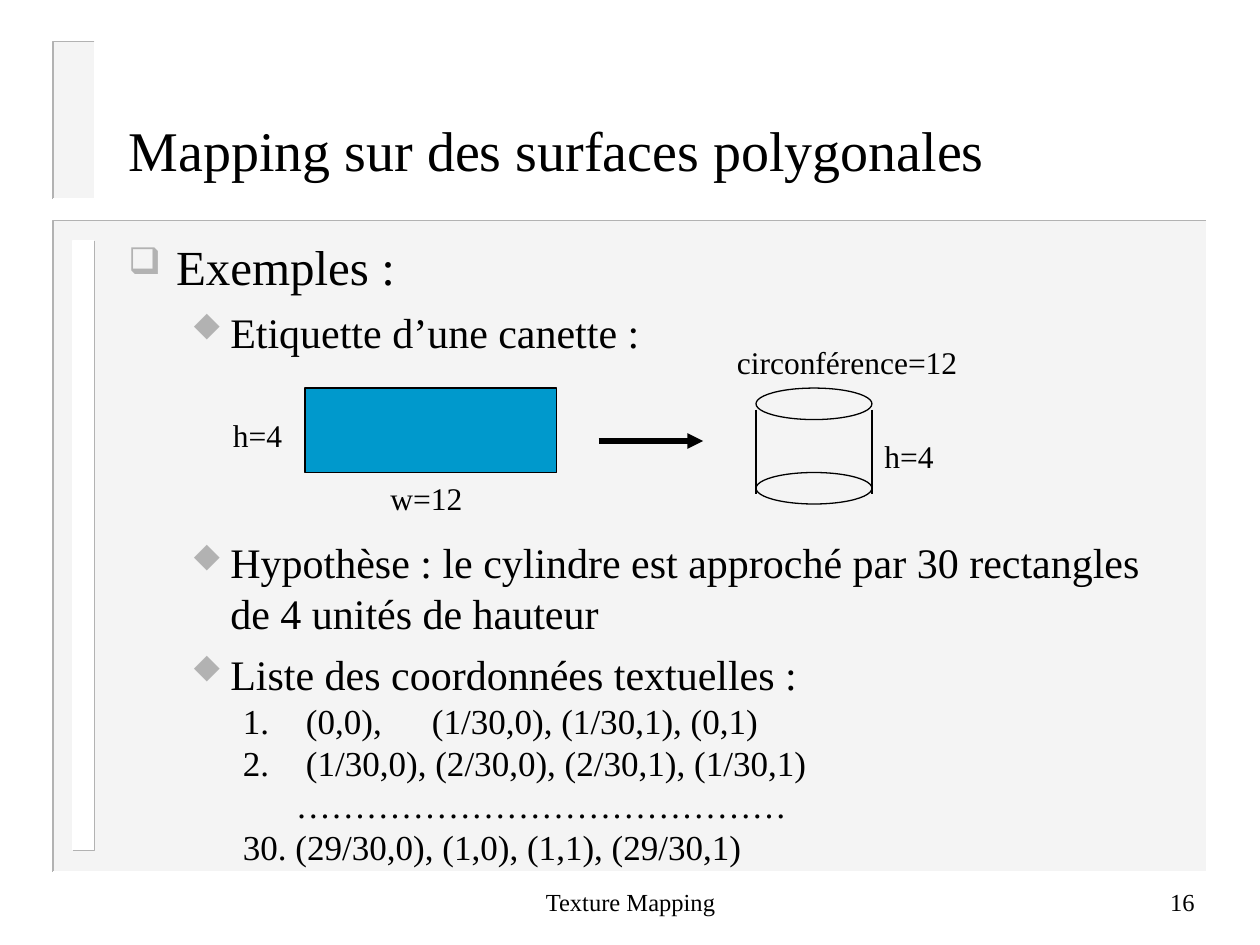
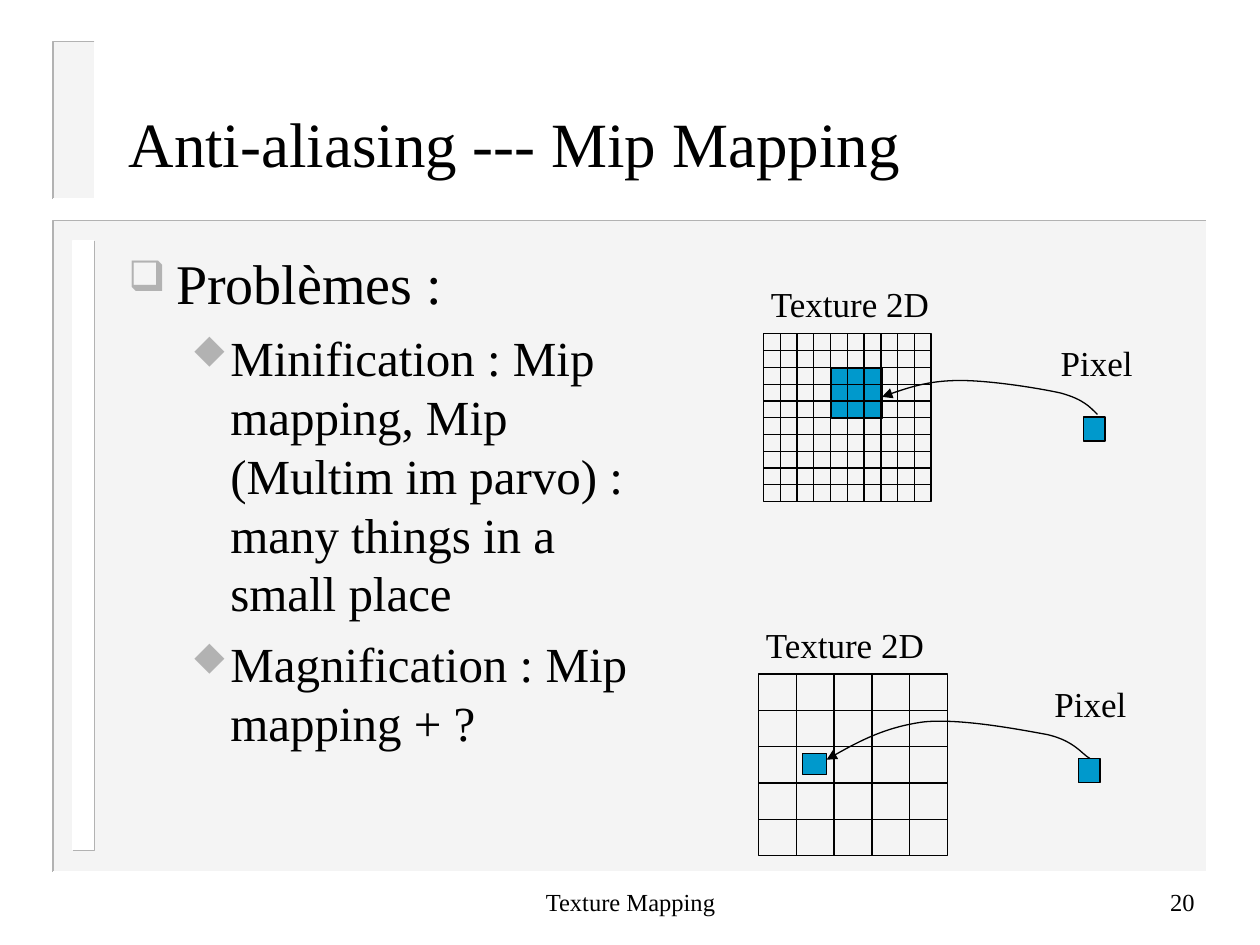
from lxml.etree import SubElement
from pptx import Presentation
from pptx.dml.color import RGBColor
from pptx.enum.shapes import MSO_CONNECTOR, MSO_SHAPE
from pptx.enum.text import MSO_ANCHOR, MSO_AUTO_SIZE, PP_ALIGN
from pptx.oxml.ns import qn
from pptx.util import Inches, Pt

FONT = "Times New Roman"
BULLET_FONT = "Wingdings"
COLORS = {"ink": "000000", "blue": "0099CC", "panel": "EAEAEA", "edge": "B2B2B2", "white": "FFFFFF"}
FOOTER = "Texture Mapping"

PANELS = [
    {"at": (0.42, 1.75, 9.16, 5.17), "fill": "panel", "alpha": 50, "edges": ("edge", "white")},
    {"at": (0.58, 1.91, 0.17, 4.84), "fill": "white", "alpha": 100, "edges": ("white", "edge")},
    {"at": (0.42, 0.33, 0.33, 1.25), "fill": "panel", "alpha": 50, "edges": ("edge", "white")},
]
LEVELS = [("q", 0.38, 0.38), ("u", 0.81, 0.31)]

CANETTE = {
    "title": "Mapping sur des surfaces polygonales",
    "title_at": (0.92, 0.83, 8.5, 0.71),
    "title_size": 32,
    "number": "16",
    "body_at": (0.92, 1.83, 8.5, 4.92),
    "body": [
        (0, 28, 0, "Exemples :"),
        (1, 24, 6, "Etiquette d’une canette :"),
        (1, 24, 103, "Hypothèse : le cylindre est approché par 30 rectangles de 4 unités de hauteur"),
        (1, 24, 6, "Liste des coordonnées textuelles :"),
    ],
}
CANETTE_LABELS = [
    ("h=4", (1.75, 3.25, 0.59, 0.4)),
    ("w=12", (3, 3.75, 0.77, 0.4)),
    ("h=4", (6.92, 3.42, 0.59, 0.4)),
    ("circonférence=12", (5.75, 2.67, 1.95, 0.4)),
]
ETIQUETTE_AT = (2.42, 3.08, 2, 0.67)
CYLINDER = {"left": 6, "width": 0.92, "caps": (3.08, 3.75), "cap_height": 0.25, "sides": (3.25, 3.92)}
COORDINATES_AT = (1.83, 5.5, 5, 1.44)
COORDINATES = [
    ("1.\t(0,0),\t(1/30,0), (1/30,1), (0,1)", 0, (0.35, 1.37)),
    ("2.\t(1/30,0), (2/30,0), (2/30,1), (1/30,1)", 0, (0.35,)),
    ("……………………………………", 0.42, ()),
    ("30. (29/30,0), (1,0), (1,1), (29/30,1)", 0, ()),
]

MIP = {
    "title": "Anti-aliasing --- Mip Mapping",
    "title_at": (0.92, 0.71, 8.5, 0.84),
    "title_size": 36,
    "number": "20",
    "body_at": (0.92, 1.92, 4.29, 4.83),
    "body": [
        (0, 32, 0, "Problèmes :"),
        (1, 28, 7, "Minification : Mip mapping, Mip (Multim im parvo) : many things in a small place"),
        (1, 28, 7, "Magnification : Mip mapping + ?"),
    ],
}
TEXTURES = [
    {
        "grid": (6.06, 2.65, 1.33, 1.33),
        "cells": 10,
        "texel": (6.6, 2.92, 0.4, 0.4),
        "pixel": (8.6, 3.31, 0.17, 0.19),
        "labels": [("Texture 2D", (6.02, 2.19, 1.47, 0.44)), ("Pixel", (8.32, 2.66, 0.77, 0.44))],
        "curve": [(8.71, 3.29), (8.65, 3.23), (8.6, 3.17), (8.42, 3.12), (8.24, 3.08),
                  (7.86, 3.02), (7.62, 3.02), (7.39, 3.02), (7.19, 3.08), (7, 3.15)],
    },
    {
        "grid": (6.02, 5.35, 1.5, 1.44),
        "cells": 5,
        "texel": (6.37, 5.98, 0.19, 0.17),
        "pixel": (8.56, 6.02, 0.17, 0.19),
        "labels": [("Texture 2D", (5.98, 4.9, 1.47, 0.44)), ("Pixel", (8.27, 5.37, 0.77, 0.44))],
        "curve": [(8.65, 6.02), (8.59, 5.99), (8.53, 5.88), (8.31, 5.83), (8.09, 5.79),
                  (7.62, 5.7), (7.33, 5.73), (7.04, 5.77), (6.8, 5.89), (6.56, 6.03)],
    },
]


def rgb(name):
    return RGBColor.from_string(COLORS[name])


def inches(values):
    return [Inches(value) for value in values]


def set_line(part, color="ink", width=0.75):
    part.line.color.rgb = rgb(color)
    part.line.width = Pt(width)


def add_block(slide, at, fill=None, line="ink", kind=MSO_SHAPE.RECTANGLE):
    block = slide.shapes.add_shape(kind, *inches(at))
    block.shadow.inherit = False
    if fill:
        block.fill.solid()
        block.fill.fore_color.rgb = rgb(fill)
    else:
        block.fill.background()
    if line:
        set_line(block, line)
    else:
        block.line.fill.background()
    return block


def add_outline(slide, points, color="ink", width=0.75):
    start, *rest = [inches(point) for point in points]
    builder = slide.shapes.build_freeform(*start)
    builder.add_line_segments(rest, close=False)
    outline = builder.convert_to_shape()
    outline.shadow.inherit = False
    outline.fill.background()
    set_line(outline, color, width)
    return outline


def add_segment(slide, start, end, width=0.75):
    segment = slide.shapes.add_connector(MSO_CONNECTOR.STRAIGHT, *inches(start + end))
    set_line(segment, width=width)
    SubElement(segment.element.spPr, qn("a:effectLst"))
    return segment


def add_arrowhead(part):
    SubElement(part.get_or_add_ln(), qn("a:tailEnd"), type="triangle")


def bend(outline):
    track = outline.element.find(".//" + qn("a:path"))
    steps = track.findall(qn("a:lnTo"))
    for first in range(0, len(steps), 3):
        curve = SubElement(track, qn("a:cubicBezTo"))
        for step in steps[first:first + 3]:
            curve.append(step[0])
            track.remove(step)


def write(paragraph, text, size):
    run = paragraph.add_run()
    run.text = text
    run.font.size = Pt(size)
    run.font.name = FONT
    run.font.color.rgb = rgb("ink")


def add_frame(slide, at, wrap=True, anchor=MSO_ANCHOR.TOP):
    frame = slide.shapes.add_textbox(*inches(at)).text_frame
    frame.word_wrap = wrap
    frame.vertical_anchor = anchor
    return frame


def add_label(slide, text, at, size):
    write(add_frame(slide, at, wrap=False).paragraphs[0], text, size)


def paragraphs_for(frame, items):
    for index, item in enumerate(items):
        yield (frame.add_paragraph() if index else frame.paragraphs[0]), item


def set_indent(paragraph, margin, hanging=0):
    properties = paragraph._p.get_or_add_pPr()
    properties.set("marL", str(Inches(margin)))
    properties.set("indent", str(-Inches(hanging)))
    return properties


def set_bullet(paragraph, level):
    mark, margin, hanging = LEVELS[level]
    properties = set_indent(paragraph, margin, hanging)
    SubElement(SubElement(properties, qn("a:buClr")), qn("a:srgbClr"), val=COLORS["edge"])
    SubElement(properties, qn("a:buSzPct"), val="75000")
    SubElement(properties, qn("a:buFont"), typeface=BULLET_FONT, charset="2")
    SubElement(properties, qn("a:buChar"), char=mark)


def add_panels(slide):
    for panel in PANELS:
        left, top, width, height = panel["at"]
        right, bottom = left + width, top + height
        block = add_block(slide, panel["at"], panel["fill"], line=None)
        tint = block.element.spPr.find(qn("a:solidFill"))[0]
        SubElement(tint, qn("a:alpha"), val=str(panel["alpha"] * 1000))
        upper, lower = panel["edges"]
        corners = [(upper, (left, top)), (lower, (right, bottom))]
        for color, corner in sorted(corners, key=lambda edge: edge[0] == "white"):
            add_outline(slide, [(right, top), corner, (left, bottom)], color, 1)


def dress_layout(layout, slide):
    for placeholder in list(layout.placeholders):
        if placeholder.placeholder_format.idx != 0:
            placeholder.element.getparent().remove(placeholder.element)
    title = slide.shapes.title
    add_panels(slide)
    for part in list(slide.shapes):
        if part.shape_id != title.shape_id:
            layout.shapes.element.append(part.element)


def fill_slide(slide, content):
    title = slide.shapes.title
    title.left, title.top, title.width, title.height = inches(content["title_at"])
    heading = title.text_frame
    heading.auto_size = MSO_AUTO_SIZE.NONE
    heading.vertical_anchor = MSO_ANCHOR.MIDDLE
    heading.paragraphs[0].alignment = PP_ALIGN.LEFT
    write(heading.paragraphs[0], content["title"], content["title_size"])

    body = add_frame(slide, content["body_at"])
    for paragraph, (level, size, before, text) in paragraphs_for(body, content["body"]):
        paragraph.level = level
        set_bullet(paragraph, level)
        paragraph.space_before = Pt(before)
        write(paragraph, text, size)

    footers = [
        (FOOTER, (3.42, 6.91, 3.17, 0.5), PP_ALIGN.CENTER),
        (content["number"], (7.5, 6.91, 2.08, 0.5), PP_ALIGN.RIGHT),
    ]
    for text, at, alignment in footers:
        paragraph = add_frame(slide, at, anchor=MSO_ANCHOR.MIDDLE).paragraphs[0]
        paragraph.alignment = alignment
        write(paragraph, text, 14)


def draw_canette(slide):
    add_block(slide, ETIQUETTE_AT, "blue")
    add_arrowhead(add_segment(slide, (4.75, 3.5), (5.58, 3.5), 3))
    left, width = CYLINDER["left"], CYLINDER["width"]
    for top in CYLINDER["caps"]:
        add_block(slide, (left, top, width, CYLINDER["cap_height"]), kind=MSO_SHAPE.OVAL)
    top, bottom = CYLINDER["sides"]
    for side in (left, left + width):
        add_segment(slide, (side, top), (side, bottom))
    for text, at in CANETTE_LABELS:
        add_label(slide, text, at, 18)


def list_coordinates(slide):
    frame = add_frame(slide, COORDINATES_AT)
    for paragraph, (text, margin, stops) in paragraphs_for(frame, COORDINATES):
        properties = set_indent(paragraph, margin)
        if stops:
            tabs = SubElement(properties, qn("a:tabLst"))
            for stop in stops:
                SubElement(tabs, qn("a:tab"), pos=str(Inches(stop)), algn="l")
        write(paragraph, text, 20)


def draw_texture(slide, texture):
    add_block(slide, texture["texel"], "blue")
    add_block(slide, texture["grid"])
    left, top, width, height = texture["grid"]
    for index in range(1, texture["cells"]):
        share = index / texture["cells"]
        row, column = top + share * height, left + share * width
        add_segment(slide, (left, row), (left + width, row))
        add_segment(slide, (column, top), (column, top + height))
    add_block(slide, texture["pixel"], "blue")
    for text, at in texture["labels"]:
        add_label(slide, text, at, 20)
    curve = add_outline(slide, texture["curve"])
    bend(curve)
    add_arrowhead(curve)


def main():
    deck = Presentation()
    deck.slide_width, deck.slide_height = Inches(10), Inches(7.5)
    layout = deck.slide_layouts[5]
    canette_slide = deck.slides.add_slide(layout)
    dress_layout(layout, canette_slide)
    fill_slide(canette_slide, CANETTE)
    draw_canette(canette_slide)
    list_coordinates(canette_slide)
    mip_slide = deck.slides.add_slide(layout)
    fill_slide(mip_slide, MIP)
    for texture in TEXTURES:
        draw_texture(mip_slide, texture)
    deck.save("out.pptx")


if __name__ == "__main__":
    main()
